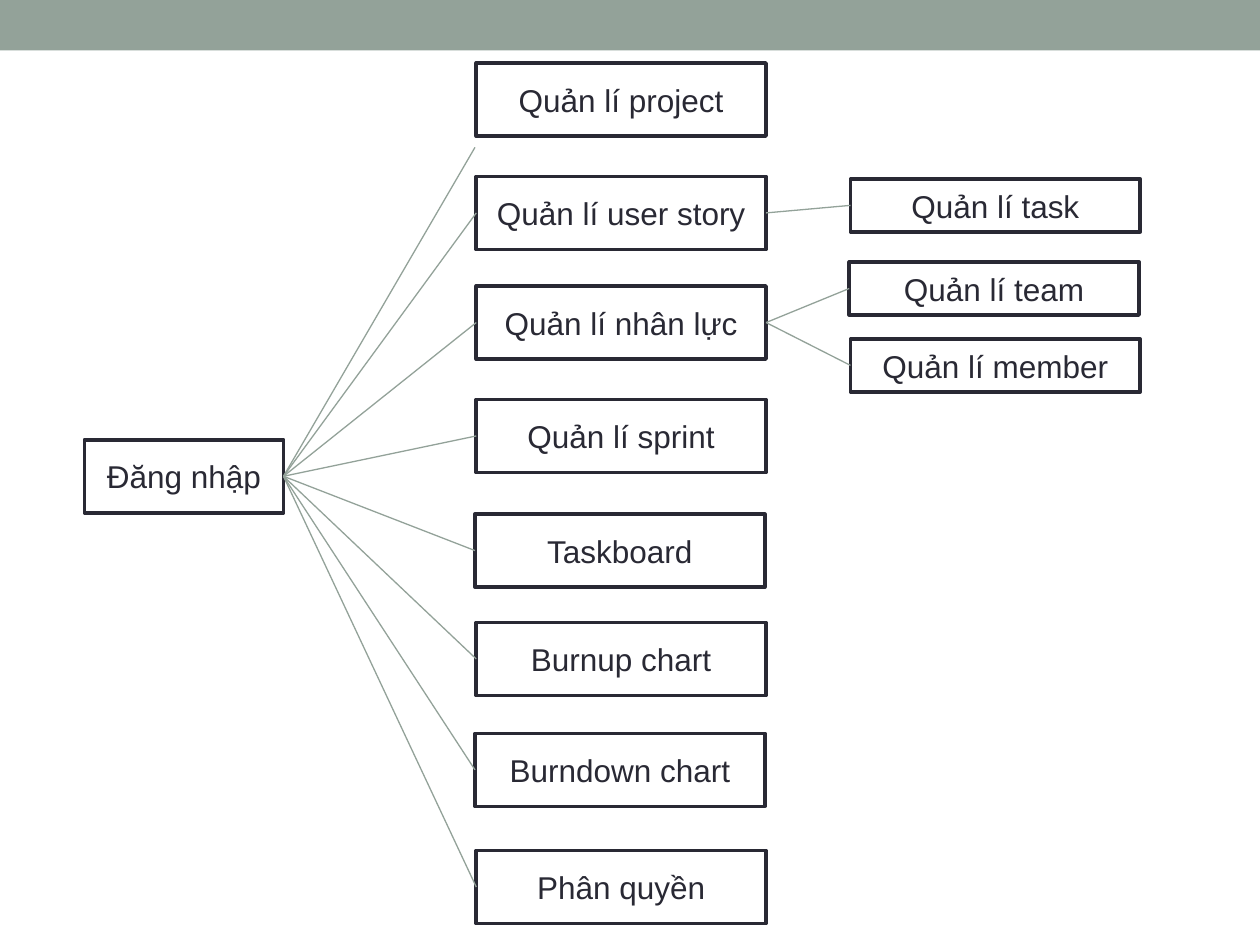
from lxml.etree import SubElement
from pptx import Presentation
from pptx.dml.color import RGBColor
from pptx.enum.shapes import MSO_CONNECTOR, MSO_SHAPE
from pptx.enum.text import MSO_ANCHOR, PP_ALIGN
from pptx.oxml.ns import qn
from pptx.util import Inches, Pt

SAGE, INK, WHITE = "93A299", "292934", "FFFFFF"
LEFT_SITE, RIGHT_SITE = 1, 3


def paint(color_format, color):
    color_format.rgb = RGBColor.from_string(color)


def add_box(page, left, top, width, height, fill):
    box = page.shapes.add_shape(
        MSO_SHAPE.RECTANGLE, Inches(left), Inches(top), Inches(width), Inches(height))
    box.shadow.inherit = False
    box.fill.solid()
    paint(box.fill.fore_color, fill)
    box.line.fill.background()
    return box


def add_node(page, text, left, top, width, height):
    box = add_box(page, left, top, width, height, WHITE)
    box.line.fill.solid()
    paint(box.line.fill.fore_color, INK)
    box.line.width = Pt(2.08)
    frame = box.text_frame
    frame.word_wrap = True
    frame.vertical_anchor = MSO_ANCHOR.MIDDLE
    para = frame.paragraphs[0]
    para.alignment = PP_ALIGN.CENTER
    span = para.add_run()
    span.text = text
    span.font.name = "Arial"
    span.font.size = Pt(18)
    paint(span.font.color, INK)
    return box


def add_column(page, left, top, width, height, entries):
    return {text: add_node(page, text, left + shift, top + drop, width, height)
            for text, shift, drop in entries}


def add_link(page, source, target=None, end=(0, 0)):
    link = page.shapes.add_connector(
        MSO_CONNECTOR.STRAIGHT, 0, 0, Inches(end[0]), Inches(end[1]))
    link.begin_connect(source, RIGHT_SITE)
    if target is not None:
        link.end_connect(target, LEFT_SITE)
    paint(link.line.color, SAGE)
    link.line.width = Pt(0.75)
    SubElement(link._element.spPr, qn("a:effectLst"))


def build_feature_tree(page, left, top):
    login = add_node(page, "Đăng nhập", left, top + 2.99, 1.58, 0.58)
    features = add_column(page, left + 3.11, top, 2.3, 0.58, [
        ("Quản lí project", 0, 0),
        ("Quản lí user story", 0, 0.9),
        ("Quản lí nhân lực", 0, 1.77),
        ("Quản lí sprint", 0, 2.67),
        ("Taskboard", -0.01, 3.58),
        ("Burnup chart", 0, 4.44),
        ("Burndown chart", -0.01, 5.32),
        ("Phân quyền", 0, 6.25),
    ])
    details = add_column(page, left + 6.08, top + 0.92, 2.3, 0.42, [
        ("Quản lí task", 0, 0),
        ("Quản lí team", -0.01, 0.66),
        ("Quản lí member", 0, 1.27),
    ])
    for text, feature in features.items():
        if text == "Quản lí project":
            add_link(page, login, end=(left + 3.1, top + 0.67))
        else:
            add_link(page, login, feature)
    for parent, child in [
        ("Quản lí user story", "Quản lí task"),
        ("Quản lí nhân lực", "Quản lí team"),
        ("Quản lí nhân lực", "Quản lí member"),
    ]:
        add_link(page, features[parent], details[child])


deck = Presentation()
deck.slide_width, deck.slide_height = Inches(10), Inches(7.5)
page = deck.slides.add_slide(deck.slide_layouts[6])
add_box(page, 0, 0, 10, 0.4, SAGE)
build_feature_tree(page, 0.67, 0.5)
deck.save("out.pptx")
